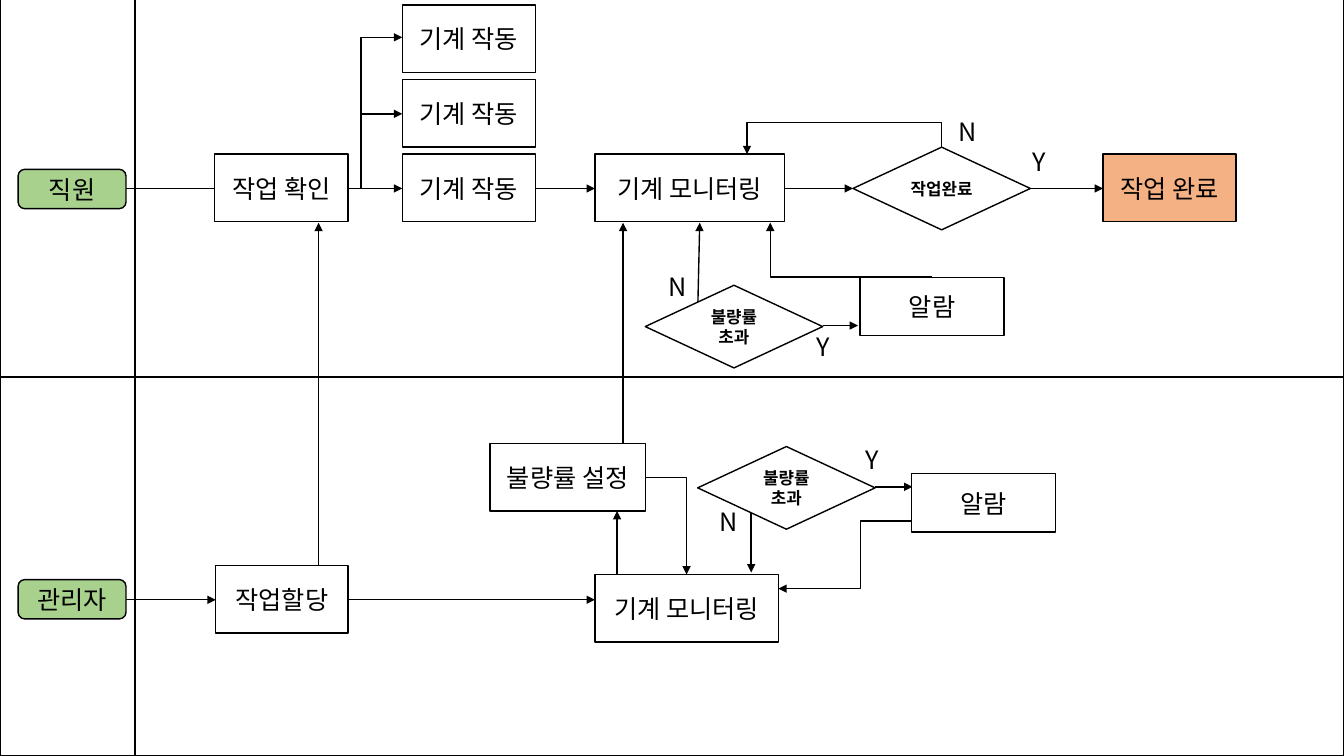
from dataclasses import dataclass

from pptx import Presentation
from pptx.dml.color import RGBColor
from pptx.enum.shapes import MSO_CONNECTOR as CONN, MSO_SHAPE as SHAPE
from pptx.enum.text import MSO_ANCHOR, PP_ALIGN
from pptx.oxml.ns import qn
from pptx.oxml.xmlchemy import OxmlElement
from pptx.util import Inches, Pt

COLORS = {"ink": "000000", "paper": "FFFFFF", "role": "A9D18E", "done": "F4B183"}
FONT = "Noto Sans CJK KR"
BOX_H = 0.67
ALARM_H = 0.58
ROLE_SIZE = (1.07, 0.39)
DECISION_SIZE = (1.76, 0.82)
STAFF_Y, STAFF_TOP = 1.87, 1.53
MANAGER_Y = 5.95


@dataclass
class Node:
    text: str
    left: float
    top: float
    width: float
    height: float = BOX_H
    fill: str = "paper"
    kind: SHAPE = SHAPE.RECTANGLE
    size: int = 18
    bold: bool = False


@dataclass
class Label:
    text: str
    left: float
    top: float


@dataclass
class Arrow:
    x1: float
    y1: float
    x2: float
    y2: float
    preset: str = "line"
    adjust: float | None = None
    rotation: int = 0
    arrow_at: str = "tailEnd"


def role(text: str, top: float) -> Node:
    return Node(text, 0.18, top, *ROLE_SIZE, "role", SHAPE.FLOWCHART_ALTERNATE_PROCESS)


def decision(text: str, left: float, top: float) -> Node:
    return Node(text, left, top, *DECISION_SIZE, kind=SHAPE.FLOWCHART_DECISION,
                size=12, bold=True)


def rgb(name: str) -> RGBColor:
    return RGBColor.from_string(COLORS[name])


def add_child(parent, tag: str, **attrs: str):
    child = OxmlElement(tag)
    for key, value in attrs.items():
        child.set(key, value)
    parent.append(child)
    return child


def write(tf, text: str, size: int = 18, bold: bool = False) -> None:
    p = tf.paragraphs[0]
    p.text = text
    p.font.name, p.font.size, p.font.bold = FONT, Pt(size), bold
    p.font.color.rgb = rgb("ink")
    add_child(p._p.pPr.find(qn("a:defRPr")), "a:ea", typeface=FONT)


def draw_lanes(s) -> None:
    table = s.shapes.add_table(2, 2, 0, Inches(-0.02), Inches(13.33), Inches(7.52)).table
    for column, width in zip(table.columns, (1.34, 11.99)):
        column.width = Inches(width)
    for cell in table.iter_cells():
        tc_pr = cell._tc.get_or_add_tcPr()
        for side in ("a:lnL", "a:lnR", "a:lnT", "a:lnB"):
            border = add_child(tc_pr, side, w=str(Pt(1)))
            add_child(add_child(border, "a:solidFill"), "a:srgbClr", val=COLORS["ink"])
        cell.fill.solid()
        cell.fill.fore_color.rgb = rgb("paper")


def draw_arrow(s, a: Arrow) -> None:
    kind = CONN.STRAIGHT if a.preset == "line" else CONN.ELBOW
    c = s.shapes.add_connector(kind, *map(Inches, (a.x1, a.y1, a.x2, a.y2)))
    c.line.color.rgb = rgb("ink")
    c.line.width = Pt(1)
    add_child(c.line._get_or_add_ln(), f"a:{a.arrow_at}", type="triangle")
    sp_pr = c._element.spPr
    add_child(sp_pr, "a:effectLst")
    geometry = sp_pr.find(qn("a:prstGeom"))
    geometry.set("prst", a.preset)
    if a.adjust is not None:
        add_child(geometry.find(qn("a:avLst")), "a:gd", name="adj1",
                  fmla=f"val {round(a.adjust * 100000)}")
    if a.rotation:
        sp_pr.find(qn("a:xfrm")).set("rot", str(a.rotation * 60000))


def draw_node(s, n: Node) -> None:
    sp = s.shapes.add_shape(n.kind, *map(Inches, (n.left, n.top, n.width, n.height)))
    sp.shadow.inherit = False
    sp.fill.solid()
    sp.fill.fore_color.rgb = rgb(n.fill)
    sp.line.color.rgb = rgb("ink")
    sp.line.width = Pt(1)
    tf = sp.text_frame
    tf.word_wrap = True
    tf.vertical_anchor = MSO_ANCHOR.MIDDLE
    write(tf, n.text, n.size, n.bold)
    tf.paragraphs[0].alignment = PP_ALIGN.CENTER


def draw_label(s, label: Label) -> None:
    box = s.shapes.add_textbox(*map(Inches, (label.left, label.top, 0.49, 0.4)))
    box.text_frame.word_wrap = True
    write(box.text_frame, label.text)


ARROWS = [
    # Staff lane
    Arrow(1.25, STAFF_Y, 3.99, STAFF_Y),
    Arrow(5.31, STAFF_Y, 5.9, STAFF_Y),
    Arrow(7.79, STAFF_Y, 8.46, STAFF_Y),
    Arrow(10.22, STAFF_Y, 10.94, STAFF_Y),
    Arrow(6.92, 3.1, 6.94, 2.21),
    Arrow(8.16, 3.23, 8.51, 3.23),
    Arrow(9.24, 2.75, 7.64, 2.21, "bentConnector3", 1),
    Arrow(8.41, 2.46, 8.34, 0.53, "bentConnector3", -3.51, 270),
    # Branches to the upper machines
    *(Arrow(3.99, y, 3.58, STAFF_Y, "bentConnector2", arrow_at="headEnd")
      for y in (1.13, 0.37)),
    # Between lanes
    Arrow(3.16, 5.62, 3.16, 2.21),
    Arrow(6.18, 4.4, 6.18, 2.21),
    # Manager lane
    Arrow(1.25, MANAGER_Y, 2.14, MANAGER_Y),
    Arrow(3.45, MANAGER_Y, 5.9, MANAGER_Y),
    Arrow(6.12, 5.7, 6.12, 5.07),
    Arrow(6.4, 4.74, 6.81, 5.7, "bentConnector2"),
    Arrow(7.45, 5.08, 7.45, 5.68),
    Arrow(8.68, 4.83, 9.05, 4.83),
    Arrow(9.35, 5.17, 7.72, 5.84, "bentConnector3", 0.5),
]

NODES = [
    # Staff lane
    role("직원", 1.68),
    Node("작업 확인", 2.13, STAFF_TOP, 1.32),
    *(Node("기계 작동", 3.99, STAFF_TOP - 0.74 * i, 1.32) for i in range(3)),
    Node("기계 모니터링", 5.9, STAFF_TOP, 1.88),
    decision("작업완료", 8.46, 1.46),
    Node("작업 완료", 10.94, STAFF_TOP, 1.32, fill="done"),
    decision("불량률 초과", 6.4, 2.83),
    Node("알람", 8.53, 2.75, 1.43, ALARM_H),
    # Manager lane
    role("관리자", 5.75),
    Node("작업할당", 2.14, 5.61, 1.31),
    Node("불량률 설정", 4.86, 4.4, 1.54),
    Node("기계 모니터링", 5.9, 5.7, 1.82),
    decision("불량률 초과", 6.92, 4.43),
    Node("알람", 9.04, 4.7, 1.43, ALARM_H),
]

LABELS = [
    Label("N", 9.41, 1.11), Label("Y", 10.14, 1.4),
    Label("N", 6.53, 2.64), Label("Y", 8, 3.24),
    Label("N", 7.04, 4.97), Label("Y", 8.49, 4.36),
]

prs = Presentation()
prs.slide_width, prs.slide_height = Inches(13.33), Inches(7.5)
s = prs.slides.add_slide(prs.slide_layouts[6])

draw_lanes(s)
for arrow in ARROWS:
    draw_arrow(s, arrow)
for node in NODES:
    draw_node(s, node)
for label in LABELS:
    draw_label(s, label)

prs.save("out.pptx")
